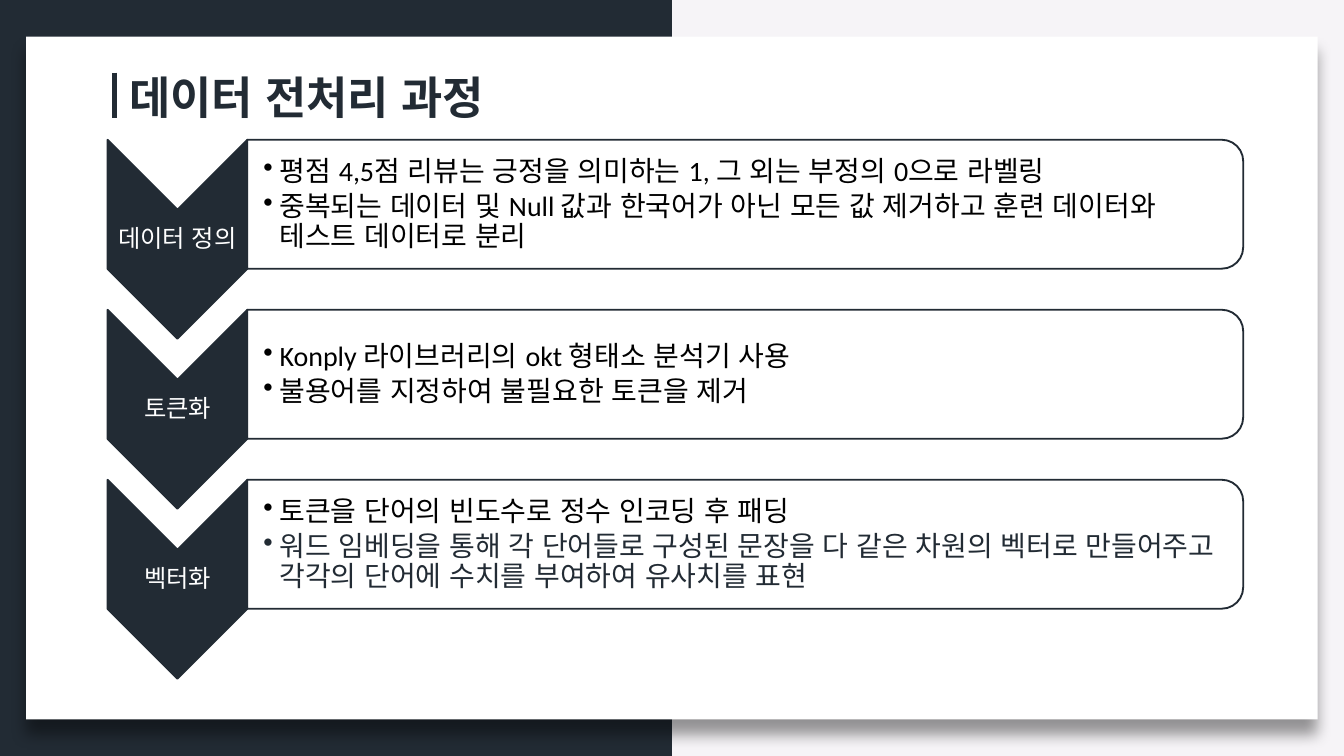
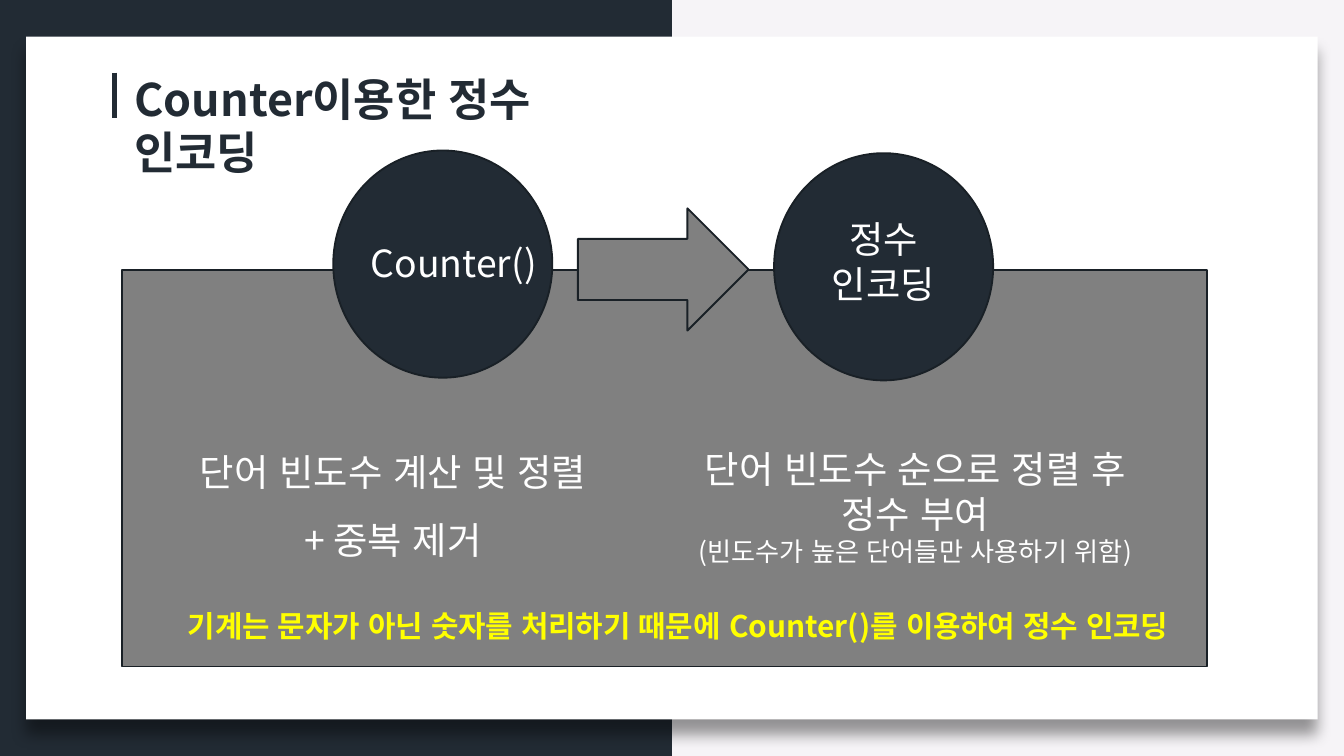
from lxml.etree import SubElement
from pptx import Presentation
from pptx.dml.color import RGBColor
from pptx.enum.shapes import MSO_CONNECTOR, MSO_SHAPE
from pptx.enum.text import MSO_ANCHOR, MSO_AUTO_SIZE, PP_ALIGN
from pptx.oxml.ns import qn
from pptx.util import Inches, Pt

# The grid has square cells of a tenth of an inch.
COLS, ROWS = 100, 56.25
NAVY, EDGE, GREY, WHITE = "222B34", "192026", "808080", "FFFFFF"
PALE, BLACK, YELLOW = "F6F4F7", "000000", "FFFF00"
NOTO, BODY, ASIAN = "Noto Sans CJK KR", "Calibri", "Arial"

STEPS = [
    ("데이터 정의", [
        "평점 4,5점 리뷰는 긍정을 의미하는 1, 그 외는 부정의 0으로 라벨링",
        "중복되는 데이터 및 Null 값과 한국어가 아닌 모든 값 제거하고 "
        "훈련 데이터와 테스트 데이터로 분리"]),
    ("토큰화", [
        "Konply 라이브러리의 okt 형태소 분석기 사용",
        "불용어를 지정하여 불필요한 토큰을 제거"]),
    ("벡터화", [
        "토큰을 단어의 빈도수로 정수 인코딩 후 패딩",
        ("워드 임베딩을 통해 각 단어들로 구성된 문장을 다 같은 차원의 벡터로 "
         "만들어주고 각각의 단어에 수치를 부여하여 유사치를 표현",
         {"font": "Arial", "color": NAVY})]),
]


def cell(n):
    return Inches(n / 10)


def tint(code):
    return RGBColor.from_string(code)


def node(parent, tag, **attrs):
    return SubElement(parent, qn(tag), {k: str(v) for k, v in attrs.items()})


def style(run, size, color, font, bold):
    run.font.size = Pt(size)
    run.font.bold = bold
    run.font.name = font
    run.font.color.rgb = tint(color)
    node(run.font._element, "a:ea", typeface=ASIAN)


def bullet(para):
    para.level = 1
    props = para._p.get_or_add_pPr()
    props.set("marL", str(cell(1.2)))
    props.set("indent", str(-cell(1.2)))
    node(props, "a:buChar", char="•")


def text(slide, words, box, holder=None, size=20, color=WHITE, font=NOTO,
         bold=False, align=PP_ALIGN.LEFT, inset=None, lead=None, after=None,
         dots=False):
    """Write a list of strings, or of (string, format changes), in a box.

    A box with an inset keeps its size and centres its text vertically.
    """
    box = [cell(n) for n in box]
    if holder is None:
        holder = slide.shapes.add_textbox(*box)
    holder.left, holder.top, holder.width, holder.height = box
    frame = holder.text_frame
    frame.word_wrap = True
    if inset is None:
        frame.auto_size = MSO_AUTO_SIZE.SHAPE_TO_FIT_TEXT
        frame.vertical_anchor = MSO_ANCHOR.TOP
    else:
        frame.auto_size = MSO_AUTO_SIZE.NONE
        frame.vertical_anchor = MSO_ANCHOR.MIDDLE
        frame.margin_left = cell(inset)
        frame.margin_right = frame.margin_top = frame.margin_bottom = cell(0.1)
    base = {"size": size, "color": color, "font": font, "bold": bold}
    for i, item in enumerate(words):
        line, diff = (item, {}) if isinstance(item, str) else item
        para = frame.paragraphs[0] if i == 0 else frame.add_paragraph()
        if dots:
            bullet(para)
        para.alignment = align
        para.line_spacing = lead
        if after:
            para.space_after = Pt(after)
        run = para.add_run()
        run.text = line
        style(run, **{**base, **diff})


def shape(slide, kind, box, fill, line=None, turn=False, alpha=None):
    """Draw a shape that covers the box, also when turned by 90 degrees."""
    x, y, w, h = box
    if turn:
        x, y, w, h = x + (w - h) / 2, y + (h - w) / 2, h, w
    item = slide.shapes.add_shape(kind, *(cell(n) for n in (x, y, w, h)))
    item.rotation = 90 if turn else 0
    item.shadow.inherit = False
    item.fill.solid()
    item.fill.fore_color.rgb = tint(fill)
    if alpha:
        color = item._element.spPr.find(".//" + qn("a:srgbClr"))
        node(color, "a:alpha", val=alpha * 1000)
    if line:
        item.line.color.rgb = tint(line)
        item.line.width = Pt(1)
    else:
        item.line.fill.background()
    return item


def shade(item):
    glow = item._element.spPr.find(qn("a:effectLst"))
    drop = node(glow, "a:outerShdw", blurRad=Pt(8), dist=Pt(8), dir=5400000,
                algn="t", rotWithShape=0)
    node(node(drop, "a:srgbClr", val=BLACK), "a:alpha", val=40000)


def frame(slide, layout):
    """Draw the dark half and the white card, and move them to the layout."""
    half = shape(slide, MSO_SHAPE.RECTANGLE, (0, 0, COLS / 2, ROWS), NAVY)
    card = shape(slide, MSO_SHAPE.RECTANGLE, (1.95, 2.73, 96.1, 50.8), WHITE)
    shade(card)
    for spot, item in enumerate((half, card), 2):
        layout.shapes.element.insert(spot, item._element)


def head(slide, title, left, top, width):
    text(slide, [title], (left, top, width, 5), holder=slide.shapes.title,
         size=24, color=NAVY, bold=True)
    x = cell(8.5)
    mark = slide.shapes.add_connector(
        MSO_CONNECTOR.STRAIGHT, x, cell(5.4), x, cell(8.8))
    mark.line.color.rgb = tint(NAVY)
    mark.line.width = Pt(2.5)
    node(mark._element.spPr, "a:effectLst")


def step(slide, top, label, notes):
    left, wide = 8, 10.4
    shape(slide, MSO_SHAPE.CHEVRON, (left, top, wide, 14.8), NAVY, NAVY,
          turn=True)
    text(slide, [label], (left, top + 5.2, wide, 4.4), size=13, font=BODY,
         align=PP_ALIGN.CENTER, inset=0.1, lead=0.9)
    left += wide
    shape(slide, MSO_SHAPE.ROUND_2_SAME_RECTANGLE, (left, top, 74.1, 9.6),
          WHITE, NAVY, turn=True, alpha=90)
    text(slide, notes, (left, top + 0.5, 73.7, 8.7), size=15, color=BLACK,
         font=BODY, inset=1.2, lead=0.9, after=2.25, dots=True)


def prep(slide):
    head(slide, "데이터 전처리 과정", 8.6, 4.7, 60.7)
    for i, (label, notes) in enumerate(STEPS):
        step(slide, 10.4 + 12.65 * i, label, notes)


def count(slide):
    mid = PP_ALIGN.CENTER
    head(slide, "Counter이용한 정수 인코딩", 9, 4.8, 39.4)
    shape(slide, MSO_SHAPE.RECTANGLE, (9.1, 20.1, 80.7, 29.5), GREY, EDGE)
    for left, top in ((24.8, 11.2), (57.6, 11.4)):
        shape(slide, MSO_SHAPE.OVAL, (left, top, 16.3, 16.9), NAVY, EDGE)
    shape(slide, MSO_SHAPE.RIGHT_ARROW, (43, 15.5, 12.7, 9.1), GREY, EDGE)
    text(slide, ["Counter()"], (26.6, 17.4, 14.5, 4.4))
    text(slide, ["정수 인코딩"], (58.8, 15.6, 13.9, 7.7), align=mid)
    text(slide, ["단어 빈도수 계산 및 정렬", "+ 중복 제거"],
         (11.8, 31.3, 34.9, 10.6), align=mid, lead=1.5)
    text(slide, ["단어 빈도수 순으로 정렬 후 정수 부여",
                 ("(빈도수가 높은 단어들만 사용하기 위함)", {"size": 14})],
         (49.9, 32.7, 36.4, 10.4), align=mid)
    text(slide, ["기계는 문자가 아닌 숫자를 처리하기 때문에 "
                 "Counter()를 이용하여 정수 인코딩"],
         (13, 44.7, 79.7, 3.7), size=16, color=YELLOW, bold=True)


def main():
    deck = Presentation()
    deck.slide_width, deck.slide_height = cell(COLS), cell(ROWS)
    back = deck.slide_master.background.fill
    back.solid()
    back.fore_color.rgb = tint(PALE)
    layout = deck.slide_layouts.get_by_name("Title Only")
    first, second = (deck.slides.add_slide(layout) for _ in range(2))
    frame(first, layout)
    prep(first)
    count(second)
    deck.save("out.pptx")


if __name__ == "__main__":
    main()
